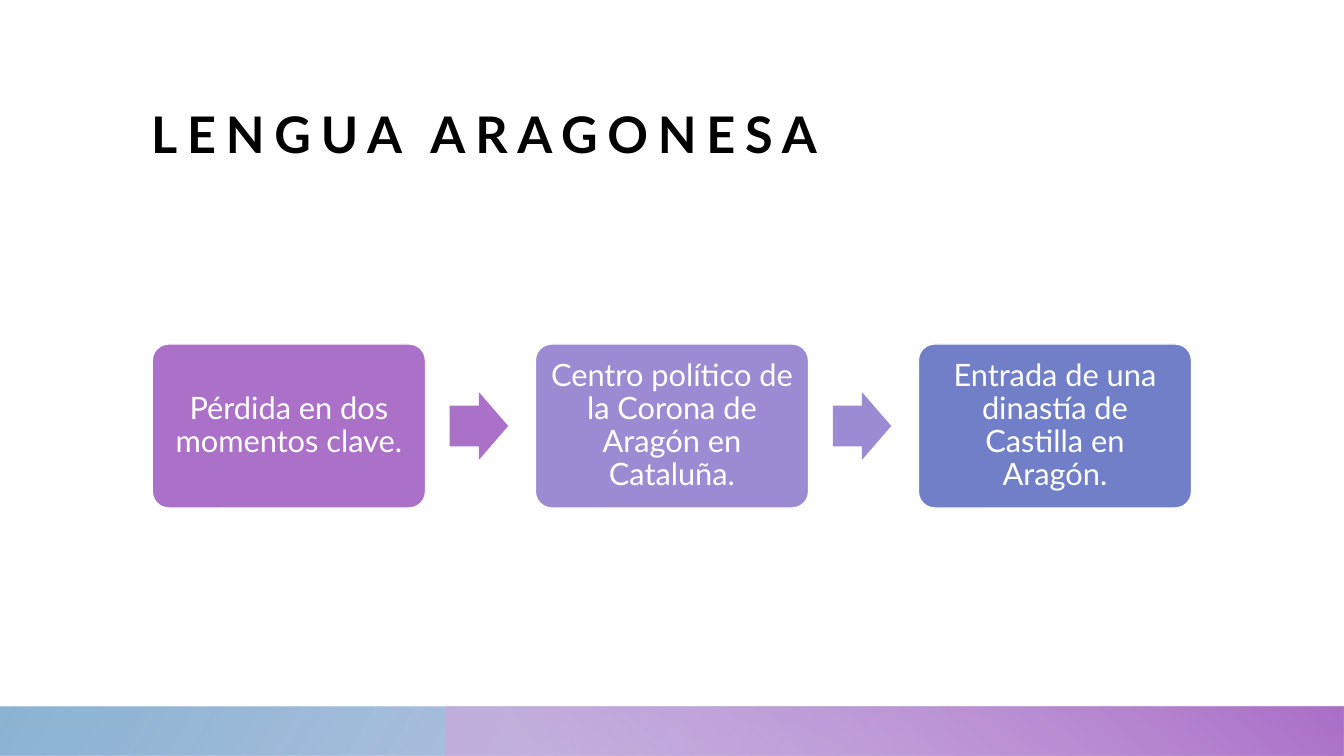
from pptx import Presentation
from pptx.dml.color import RGBColor
from pptx.enum.shapes import MSO_SHAPE
from pptx.enum.text import MSO_ANCHOR, MSO_AUTO_SIZE, PP_ALIGN
from pptx.oxml import parse_xml
from pptx.oxml.ns import nsdecls, qn
from pptx.util import Inches, Pt

COLORS = {
    "black": "000000",
    "white": "FFFFFF",
    "purple": "AB70C8",
    "lavender": "9C8AD2",
    "indigo": "707FC8",
    "sky": "77A8CB",
    "lilac": "CDA9DE",
}
STEPS = [
    ("Pérdida en dos momentos clave.", "purple"),
    ("Centro político de la Corona de Aragón en Cataluña.", "lavender"),
    ("Entrada de una dinastía de Castilla en Aragón.", "indigo"),
]


def color(name):
    """Return the named colour."""
    return RGBColor.from_string(COLORS[name])


def write(frame, text, size, ink, bold=False, align=PP_ALIGN.LEFT,
          anchor=MSO_ANCHOR.MIDDLE, inset=0, line_spacing=1.0, tracking=0,
          font="Lato"):
    """Put one formatted paragraph into a text frame."""
    frame.word_wrap = True
    frame.auto_size = MSO_AUTO_SIZE.NONE
    frame.vertical_anchor = anchor
    frame.margin_left = frame.margin_right = Inches(inset)
    frame.margin_top = frame.margin_bottom = Inches(inset)
    para = frame.paragraphs[0]
    para.alignment = align
    para.line_spacing = line_spacing
    span = para.add_run()
    span.text = text
    span.font.name = font
    span.font.size = Pt(size)
    span.font.bold = bold
    span.font.color.rgb = color(ink)
    if tracking:
        span.font._element.set("spc", str(tracking * 100))


class SlideBuilder:
    """Holds the style and the current slide; lengths are percent of its size."""

    def __init__(self, deck):
        """Add a title-only page to the deck."""
        self.deck = deck
        self.page = deck.slides.add_slide(deck.slide_layouts[5])

    def place(self, left, top, width, height):
        """Turn percentages into slide lengths."""
        wide, high = self.deck.slide_width, self.deck.slide_height
        return [round(share * full / 100) for share, full in
                zip((left, top, width, height), (wide, high, wide, high))]

    def title(self, text, *area):
        """Move and format the title placeholder."""
        box = self.page.shapes.title
        box.left, box.top, box.width, box.height = self.place(*area)
        write(box.text_frame, text, 36, "black", bold=True,
              anchor=MSO_ANCHOR.BOTTOM, tracking=7)

    def shape(self, kind, area, fill=None, adjust=()):
        """Add a preset shape without shadow or outline."""
        box = self.page.shapes.add_shape(kind, *self.place(*area))
        box.shadow.inherit = False
        box.line.fill.background()
        for index, value in enumerate(adjust):
            box.adjustments[index] = value
        if fill:
            box.fill.solid()
            box.fill.fore_color.rgb = color(fill)
        return box

    def gradient_bar(self, area, angle, stops):
        """Add a bar with a gradient of (position, colour, opacity) stops."""
        bar = self.shape(MSO_SHAPE.RECTANGLE, area)
        bar.fill.gradient()
        bar.fill.gradient_angle = angle
        for stop, (position, name, opacity) in zip(bar.fill.gradient_stops, stops):
            stop.position = position / 100
            stop.color.rgb = color(name)
        tints = bar._element.spPr.iter(qn("a:srgbClr"))
        for tint, (position, name, opacity) in zip(tints, stops):
            tint.append(parse_xml(
                f'<a:alpha {nsdecls("a")} val="{opacity * 1000}"/>'))

    def card(self, text, area, fill):
        """Add a rounded card with centred text."""
        box = self.shape(MSO_SHAPE.ROUNDED_RECTANGLE, area, fill, [0.1])
        box.line.color.rgb = color("white")
        box.line.width = Pt(1)
        write(box.text_frame, text, 22, "white", align=PP_ALIGN.CENTER,
              inset=0.09, line_spacing=0.9)

    def process(self, steps, left, top, width, height, pitch):
        """Lay out cards in a row with an arrow between neighbours."""
        arrow_width, arrow_height, arrow_gap = 4.35, 8.95, 1.8
        arrow_top = top + (height - arrow_height) / 2
        for index, (text, fill) in enumerate(steps):
            start = left + index * pitch
            self.card(text, (start, top, width, height), fill)
            if index < len(steps) - 1:
                area = (start + width + arrow_gap, arrow_top,
                        arrow_width, arrow_height)
                self.shape(MSO_SHAPE.RIGHT_ARROW, area, fill, [0.6, 0.5])


def main():
    """Build the deck and save it."""
    deck = Presentation()
    deck.slide_width, deck.slide_height = Inches(13.33), Inches(7.5)
    builder = SlideBuilder(deck)
    builder.title("LENGUA ARAGONESA", 11.25, 6.93, 77.5, 14.67)
    bar_top, bar_height, overlay_left = 93.45, 6.55, 33.12
    builder.gradient_bar((0, bar_top, 100, bar_height), 150,
                         [(14, "indigo", 28), (100, "sky", 85)])
    builder.gradient_bar(
        (overlay_left, bar_top, 100 - overlay_left, bar_height), 50,
        [(9, "lilac", 68), (99, "purple", 100)])
    builder.process(STEPS, left=11.33, top=45.5, width=20.33, height=21.7,
                    pitch=28.5)
    deck.save("out.pptx")


main()
